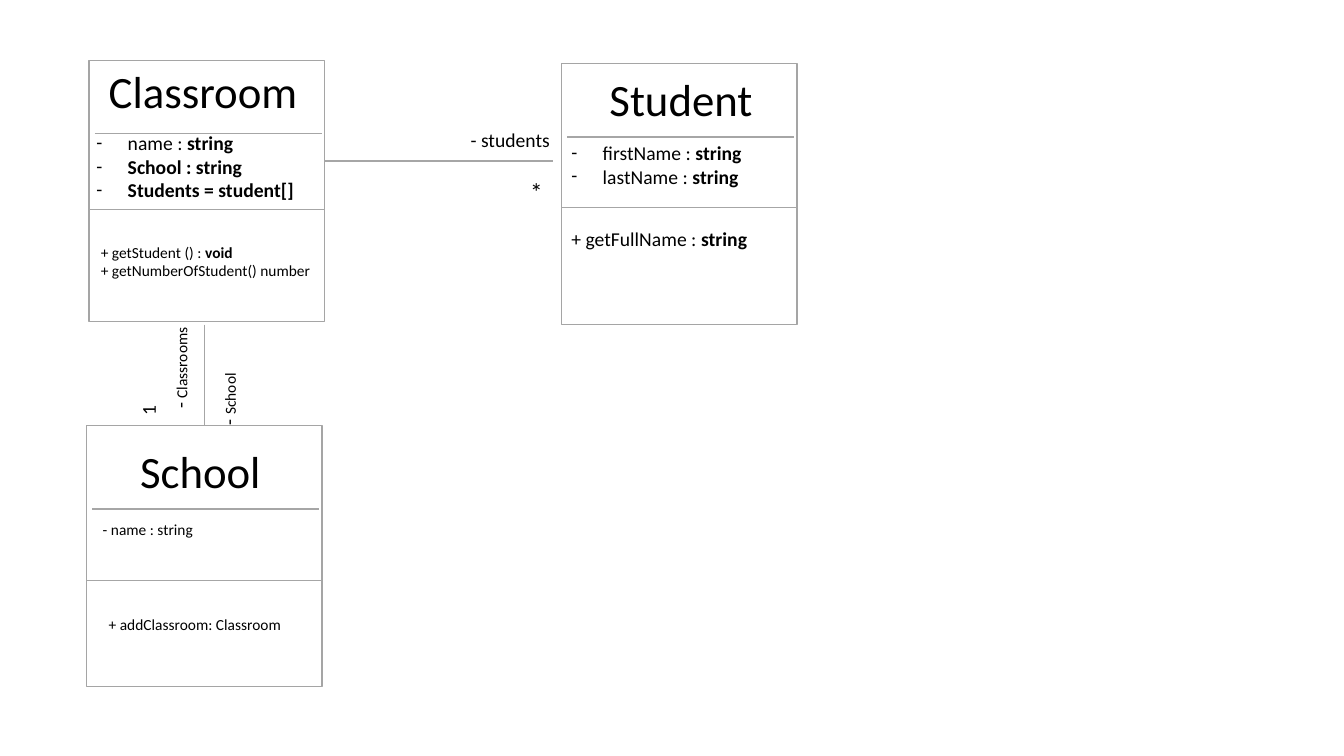
from dataclasses import dataclass

from lxml import etree
from pptx import Presentation
from pptx.dml.color import RGBColor
from pptx.enum import shapes, text
from pptx.oxml.ns import qn
from pptx.shapes.autoshape import Shape
from pptx.shapes.connector import Connector
from pptx.slide import Slide
from pptx.util import Cm, Pt


@dataclass(frozen=True)
class Theme:
    font: str = "Calibri"
    ink: RGBColor = RGBColor(0, 0, 0)
    paper: RGBColor = RGBColor(255, 255, 255)
    border: RGBColor = RGBColor(0xA5, 0xA5, 0xA5)
    rule: RGBColor = RGBColor(0xA6, 0xA6, 0xA6)
    line: float = 1
    title: int = 32
    symbol: int = 18
    body: int = 14
    small: int = 11


T = Theme()


@dataclass(frozen=True)
class Run:
    text: str
    size: int = T.body
    bold: bool = False


@dataclass(frozen=True)
class Label:
    """Text at a place in centimetres; each paragraph is a tuple of runs."""
    left: float
    top: float
    width: float
    height: float
    paragraphs: tuple[tuple[Run, ...], ...]
    dashed: bool = False
    upright: bool = False


@dataclass(frozen=True)
class ClassBox:
    """UML class; the two rules are measured down from the top edge."""
    left: float
    top: float
    title_rule: float
    attribute_rule: float
    labels: tuple[Label, ...]


BOX_W, BOX_H = 5.94, 6.58
RULE_START, RULE_END = 0.15, 5.87
TITLE_H, LINE_H, SMALL_H = 1.63, 0.86, 0.74
INDENT = Cm(0.79)
STRING = Run("string", bold=True)

CLASSROOM = ClassBox(2.24, 1.52, 1.85, 3.76, (
    Label(2.49, 1.47, 5.31, TITLE_H, ((Run("Classroom", T.title),),)),
    Label(2.18, 3.18, 5.54, 2.06, (
        (Run("name : "), STRING),
        (Run("School : string", bold=True),),
        (Run("Students = student[]", bold=True),),
    ), dashed=True),
    Label(2.29, 5.99, 5.84, 1.19, (
        (Run("+ getStudent () : ", T.small), Run("void", T.small, True)),
        (Run("+ getNumberOfStudent() number", T.small),),
    )),
))
STUDENT = ClassBox(14.15, 1.6, 1.85, 3.63, (
    Label(15.11, 1.68, 4.17, TITLE_H, ((Run("Student", T.title),),)),
    Label(14.15, 3.43, 4.85, 1.45, (
        (Run("firstName : "), STRING),
        (Run("lastName : "), STRING),
    ), dashed=True),
    Label(14.15, 5.59, 5.13, LINE_H, ((Run("+ getFullName : "), STRING),)),
))
SCHOOL = ClassBox(2.18, 10.72, 2.11, 3.91, (
    Label(3.28, 11.05, 3.58, TITLE_H, ((Run("School", T.title),),)),
    Label(2.34, 12.98, 2.79, SMALL_H, ((Run("- name : string", T.small),),)),
    Label(2.49, 15.37, 5.05, SMALL_H,
          ((Run("+ addClassroom: Classroom", T.small),),)),
))
ASSOCIATION_LABELS = (
    Label(13.11, 4.32, 0.84, 1.02, ((Run("*", T.symbol),),)),
    Label(11.61, 3.1, 2.54, LINE_H, ((Run("- students"),),)),
    Label(3.25, 8.84, 2.57, LINE_H,
          ((Run("- "), Run("Classrooms", T.small)),), upright=True),
    Label(4.47, 9.25, 2.57, LINE_H,
          ((Run("- "), Run("School", T.small)),), upright=True),
    Label(3.45, 10.01, 0.58, LINE_H, ((Run("1"),),), upright=True),
)


def add_label(s: Slide, label: Label) -> None:
    sp = s.shapes.add_textbox(Cm(label.left), Cm(label.top),
                              Cm(label.width), Cm(label.height))
    sp.rotation = 270 if label.upright else 0
    tf = sp.text_frame
    tf.word_wrap = label.upright
    tf.auto_size = text.MSO_AUTO_SIZE.SHAPE_TO_FIT_TEXT
    for i, runs in enumerate(label.paragraphs):
        p = tf.add_paragraph() if i else tf.paragraphs[0]
        if label.dashed:
            pPr = p._p.get_or_add_pPr()
            pPr.set("marL", str(INDENT))
            pPr.set("indent", str(-INDENT))
            etree.SubElement(pPr, qn("a:buFont"), typeface=T.font)
            etree.SubElement(pPr, qn("a:buChar"), char="-")
        for run in runs:
            r = p.add_run()
            r.text = run.text
            r.font.name = T.font
            r.font.size = Pt(run.size)
            r.font.bold = run.bold
            r.font.color.rgb = T.ink


def add_line(s: Slide, x1: float, y1: float, x2: float, y2: float) -> Connector:
    cxn = s.shapes.add_connector(shapes.MSO_CONNECTOR.STRAIGHT,
                                 Cm(x1), Cm(y1), Cm(x2), Cm(y2))
    cxn.line.color.rgb = T.rule
    cxn.line.width = Pt(T.line)
    etree.SubElement(cxn._element.spPr, qn("a:effectLst"))
    return cxn


def add_class(s: Slide, box: ClassBox) -> Shape:
    sp = s.shapes.add_shape(shapes.MSO_SHAPE.RECTANGLE, Cm(box.left),
                            Cm(box.top), Cm(BOX_W), Cm(BOX_H))
    sp.shadow.inherit = False
    sp.fill.solid()
    sp.fill.fore_color.rgb = T.paper
    sp.line.color.rgb = T.border
    sp.line.width = Pt(T.line)
    for start, end, drop in ((RULE_START, RULE_END, box.title_rule),
                             (0, BOX_W, box.attribute_rule)):
        y = box.top + drop
        add_line(s, box.left + start, y, box.left + end, y)
    for label in box.labels:
        add_label(s, label)
    return sp


def main() -> None:
    prs = Presentation()
    prs.slide_width, prs.slide_height = Cm(33.87), Cm(19.05)
    s = prs.slides.add_slide(prs.slide_layouts[6])
    add_class(s, CLASSROOM)
    add_class(s, STUDENT)
    school = add_class(s, SCHOOL)

    add_line(s, 8.2, 4.06, 13.94, 4.06)
    school_x = SCHOOL.left + BOX_W / 2
    add_line(s, school_x, 8.18, school_x, SCHOOL.top).end_connect(school, 0)
    for label in ASSOCIATION_LABELS:
        add_label(s, label)
    prs.save("out.pptx")


if __name__ == "__main__":
    main()
